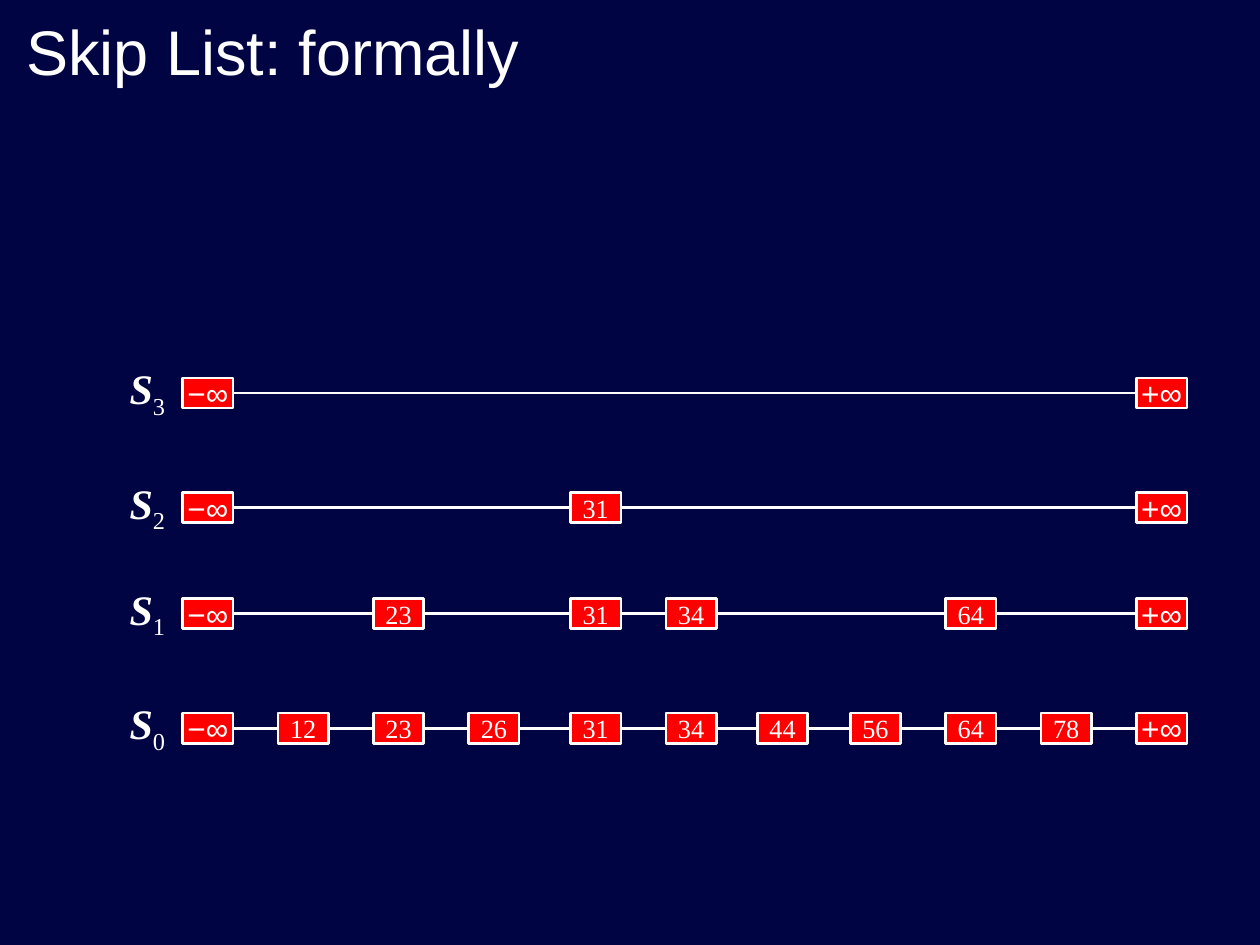
from dataclasses import dataclass

from pptx import Presentation, util as u
from pptx.dml.color import RGBColor
from pptx.enum import shapes, text
from pptx.oxml.ns import qn
from lxml import etree


@dataclass(frozen=True)
class Theme:
    """Colours, fonts and type sizes of the slide."""
    background: RGBColor = RGBColor.from_string("010442")
    node: RGBColor = RGBColor.from_string("FF0000")
    ink: RGBColor = RGBColor.from_string("FFFFFF")
    sans: str = "Arial"
    serif: str = "Times New Roman"
    title_size: int = 36
    label_size: int = 24
    sentinel_size: int = 18
    key_size: int = 15
    stroke: float = 1.5


THEME = Theme()
LOW, HIGH = "−∞", "+∞"
KEYS = [LOW, "12", "23", "26", "31", "34", "44", "56", "64", "78", HIGH]
LEVELS = {
    0: (5.66, KEYS),
    1: (4.75, [LOW, "23", "31", "34", "64", HIGH]),
    2: (3.91, [LOW, "31", HIGH]),
    3: (3.0, [LOW, HIGH]),
}
FIRST_LEFT, COLUMN_STEP = 1.45, 0.757
COLUMN_NUDGE = {"31": 0.05, "34": 0.05, "44": 0.02}
NODE_WIDTH, NODE_HEIGHT = 0.4, 0.24
LABEL_LEFT, LABEL_RISE, LABEL_WIDTH, LABEL_HEIGHT = 0.93, 0.17, 0.48, 0.56


def column_left(key):
    """Return the left edge of the column that holds a key."""
    return FIRST_LEFT + COLUMN_STEP * KEYS.index(key) + COLUMN_NUDGE.get(key, 0)


def style_run(run, face, size, bold=False, italic=False):
    """Apply typeface, size, weight and the ink colour to a run."""
    run.font.name = face
    run.font.size = u.Pt(size)
    run.font.bold = bold
    run.font.italic = italic
    run.font.color.rgb = THEME.ink


def add_title(slide, wording):
    """Place the slide title at the top left."""
    title = slide.shapes.add_textbox(*map(u.Inches, (0.11, 0.08, 9.06, 0.67)))
    frame = title.text_frame
    frame.word_wrap = True
    frame.vertical_anchor = text.MSO_ANCHOR.BOTTOM
    frame.text = wording
    style_run(frame.paragraphs[0].runs[0], THEME.sans, THEME.title_size)


def add_node(level, key, top):
    """Draw one node of a level with its key."""
    node = level.shapes.add_shape(
        shapes.MSO_SHAPE.RECTANGLE,
        *map(u.Inches, (column_left(key), top, NODE_WIDTH, NODE_HEIGHT)))
    node.shadow.inherit = False
    node.fill.solid()
    node.fill.fore_color.rgb = THEME.node
    node.line.color.rgb = THEME.ink
    node.line.width = u.Pt(THEME.stroke)
    frame = node.text_frame
    frame.word_wrap = False
    frame.vertical_anchor = text.MSO_ANCHOR.MIDDLE
    frame.text = key
    frame.paragraphs[0].alignment = text.PP_ALIGN.CENTER
    face, size = ((THEME.sans, THEME.sentinel_size) if key in (LOW, HIGH)
                  else (THEME.serif, THEME.key_size))
    style_run(frame.paragraphs[0].runs[0], face, size)


def add_link(level, left_key, right_key, top):
    """Join two neighbouring nodes of a level."""
    middle = u.Inches(top + NODE_HEIGHT / 2)
    link = level.shapes.add_connector(
        shapes.MSO_CONNECTOR.STRAIGHT,
        u.Inches(column_left(left_key) + NODE_WIDTH), middle,
        u.Inches(column_left(right_key)), middle)
    link.line.color.rgb = THEME.ink
    link.line.width = u.Pt(THEME.stroke)
    etree.SubElement(link._element.spPr, qn("a:effectLst"))


def add_label(level, number, top):
    """Write the name of a level, with its number as a subscript."""
    label = level.shapes.add_textbox(
        *map(u.Inches, (LABEL_LEFT, top - LABEL_RISE, LABEL_WIDTH, LABEL_HEIGHT)))
    label.text_frame.word_wrap = False
    name = label.text_frame.paragraphs[0]
    name.alignment = text.PP_ALIGN.CENTER
    letter, subscript = name.add_run(), name.add_run()
    letter.text, subscript.text = "S", str(number)
    style_run(letter, THEME.serif, THEME.label_size, bold=True, italic=True)
    style_run(subscript, THEME.serif, THEME.label_size)
    subscript.font._element.set("baseline", "-25000")


def add_level(slide, number, top, keys):
    """Draw one level of the skip list as a group."""
    level = slide.shapes.add_group_shape()
    for key in keys:
        add_node(level, key, top)
    for left_key, right_key in zip(keys, keys[1:]):
        add_link(level, left_key, right_key, top)
    add_label(level, number, top)


def main():
    """Build the slide and save it."""
    deck = Presentation()
    deck.slide_width, deck.slide_height = u.Inches(10), u.Inches(7.5)
    slide = deck.slides.add_slide(deck.slide_layouts[6])
    slide.background.fill.solid()
    slide.background.fill.fore_color.rgb = THEME.background
    add_title(slide, "Skip List: formally")
    for number, (top, keys) in LEVELS.items():
        add_level(slide, number, top, keys)
    deck.save("out.pptx")


if __name__ == "__main__":
    main()
